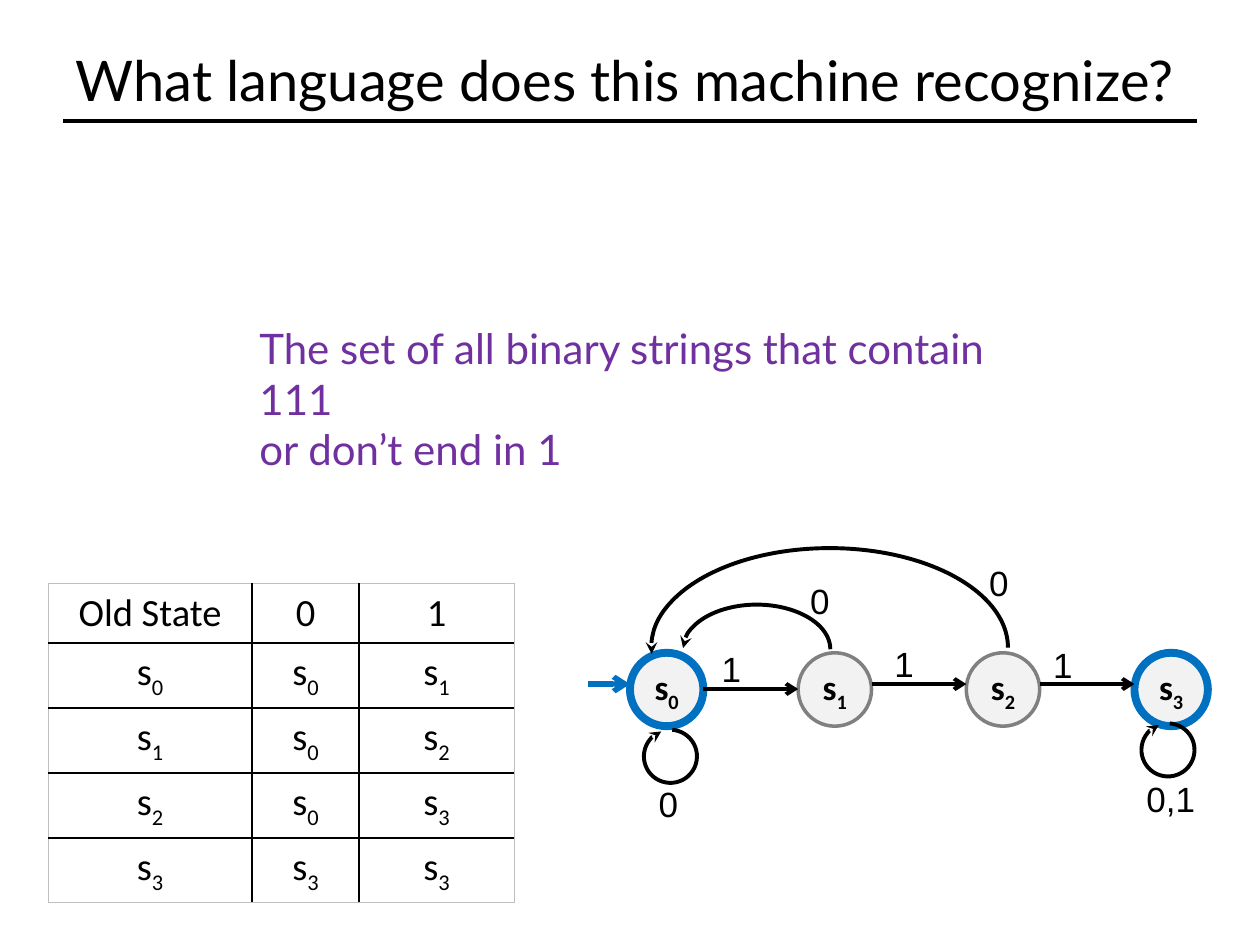
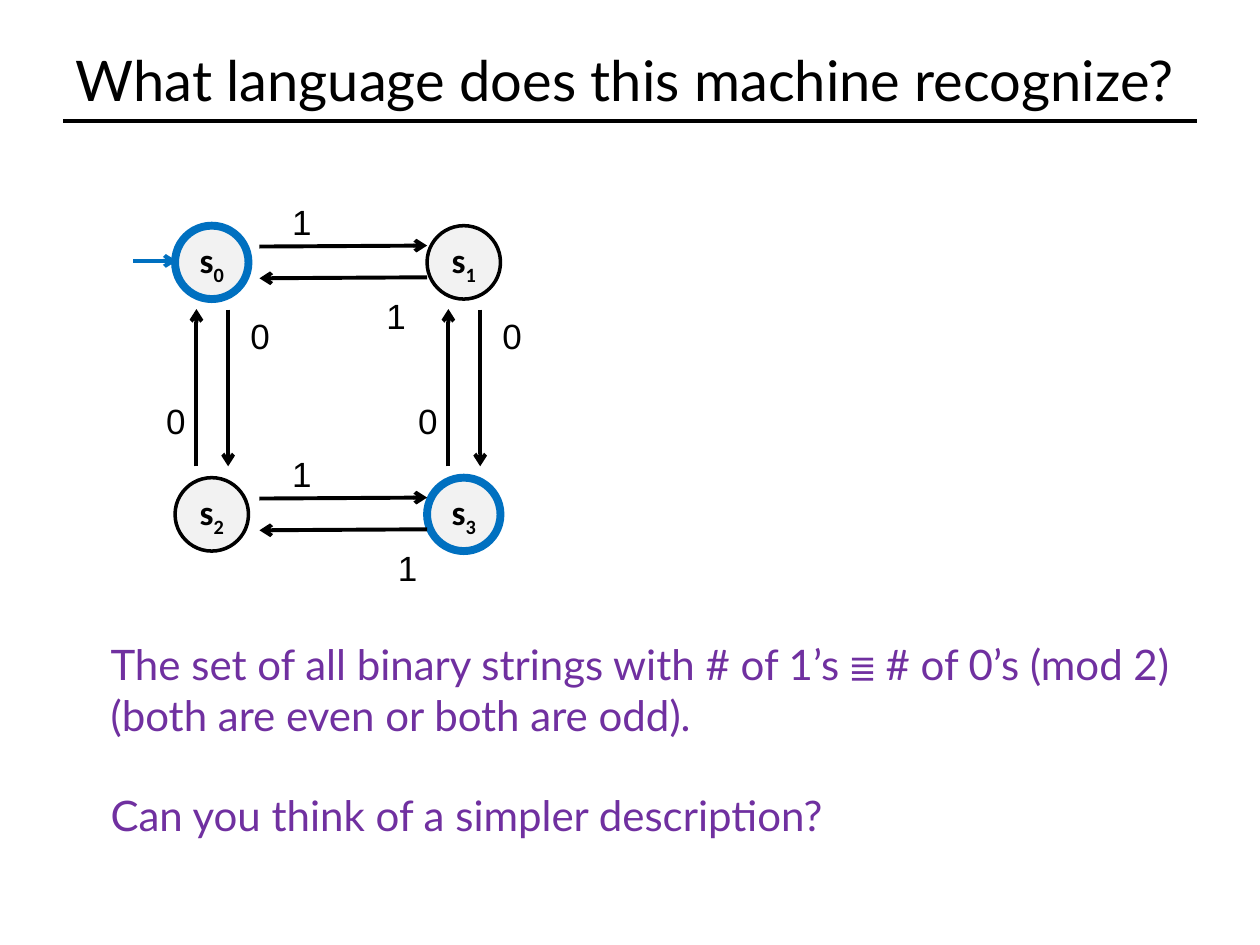
from lxml.etree import SubElement
from pptx import Presentation
from pptx.dml.color import RGBColor
from pptx.enum.shapes import MSO_CONNECTOR, MSO_SHAPE
from pptx.enum.text import MSO_ANCHOR, MSO_AUTO_SIZE, PP_ALIGN
from pptx.oxml.ns import qn
from pptx.util import Cm, Pt

hex_color = RGBColor.from_string
BLACK, BLUE, GREY, PURPLE = "000000", "0070C0", "808080", "7030A0"
STATE_FILL, TABLE_EDGE = "F2F2F2", "BFBFBF"
TITLE_FORMAT = {"name": "Lato", "size": Pt(32)}
STATE_FORMAT = {"name": "Calibri", "size": Pt(20), "bold": True}
LABEL_FORMAT = {"name": "Arial", "size": Pt(20)}
CELL_FORMAT = {"name": "Calibri", "size": Pt(22)}
TITLE = "What language does this machine recognize?"
DIAMETER = 1.48


def write(paragraph, text, color, font_format):
    """Append text to the paragraph; what follows an underscore is a subscript."""
    base, _, subscript = text.partition("_")
    for part, baseline in ((base, None), (subscript, "-25000")):
        if not part:
            continue
        run = paragraph.add_run()
        run.text = part
        run.font.color.rgb = hex_color(color)
        for attribute, value in font_format.items():
            setattr(run.font, attribute, value)
        if baseline:
            run._r.get_or_add_rPr().set("baseline", baseline)


def stroke(shape, color, width, arrow_end=None, arrow_type="arrow"):
    """Style an outline without shadow; arrow_end is headEnd or tailEnd."""
    shape.line.color.rgb = hex_color(color)
    shape.line.width = Pt(width)
    properties = shape.element.spPr
    if arrow_end:
        SubElement(properties.find(qn("a:ln")), qn(f"a:{arrow_end}"), type=arrow_type)
    if properties.find(qn("a:effectLst")) is None:
        SubElement(properties, qn("a:effectLst"))


# Each state: name, left, top, outline colour, outline width
# Each arrow: from x, from y, to x, to y, colour, width
# Each arc: left, top, width, height, start angle, rotation, arrow end
chain_left, chain_top, chain_step = 12.7, 13.16, 3.39
chain = {
    "states": [
        (f"s_{i}", chain_left + i * chain_step, chain_top, color, width)
        for i, (color, width) in enumerate([(BLUE, 4.5), (GREY, 2), (GREY, 2), (BLUE, 4.5)])
    ],
    "arrows": [(11.86, 13.79, chain_left, 13.79, BLUE, 3)] + [
        (chain_left + i * chain_step + DIAMETER, y,
         chain_left + (i + 1) * chain_step, y, BLACK, 2.25)
        for i, y in enumerate([13.89, 13.79, 13.79])
    ],
    "arcs": [
        (13.77, 12.19, 2.97, 1.8, 108.56, 0, "headEnd"),
        (13.13, 11.05, 7.19, 4.01, 106.77, 0, "headEnd"),
        (12.98, 14.71, 1.07, 1.07, 14.54, 249.8, "tailEnd"),
        (23.01, 14.58, 1.07, 1.07, 14.54, 249.8, "tailEnd"),
    ],
    "labels": [
        ("1", 14.3, 12.93), ("1", 17.78, 12.83), ("1", 20.98, 12.85),
        ("0", 16.08, 11.56), ("0", 19.69, 11.2), ("0", 13.03, 15.65),
        ("0,1", 22.86, 15.54),
    ],
    "answer_box": (4.98, 6.38, 16.3, 3.3),
    "answer": [
        [("The set of all binary strings that contain 111", "Lato")],
        [("or don’t end in 1", "Lato")],
    ],
    "transitions": [
        ("Old State", "0", "1"),
        ("s_0", "s_0", "s_1"),
        ("s_1", "s_0", "s_2"),
        ("s_2", "s_0", "s_3"),
        ("s_3", "s_3", "s_3"),
    ],
}

square_left, square_top, square_step = 3.53, 4.55, 5.08
square = {
    "states": [
        (f"s_{i}", square_left + i % 2 * square_step, square_top + i // 2 * square_step,
         color, width)
        for i, (color, width) in enumerate([(BLUE, 4.5), (BLACK, 2), (BLACK, 2), (BLUE, 4.5)])
    ],
    "arrows": [(2.69, 5.26, 3.56, 5.26, BLUE, 2.25)],
    "arcs": [],
    "labels": [("1", 7.54, 5.82), ("1", 7.77, 10.9)],
    "answer_box": (1.98, 12.75, 22.15, 4.37),
    "answer": [
        [("The set of all binary strings with # of 1’s ", "Lato"),
         ("≣", "Times New Roman"), (" # of 0’s (mod 2)", "Lato")],
        [("(both are even or both are odd).", "Lato")],
        [("Can you think of a simpler description?", "Lato")],
    ],
    "transitions": [],
}
for offset in (0, square_step):
    square["arrows"] += [
        (5.23, 4.97 + offset, 8.61, 4.95 + offset, BLACK, 2.25),
        (8.61, 5.59 + offset, 5.23, 5.61 + offset, BLACK, 2.25),
        (4.6 + offset, 6.24, 4.6 + offset, 9.4, BLACK, 2.25),
        (3.96 + offset, 9.4, 3.96 + offset, 6.23, BLACK, 2.25),
    ]
    square["labels"] += [
        ("1", 5.64, 3.91 + offset),
        ("0", 4.8 + offset, 6.22),
        ("0", 3.1 + offset, 7.92),
    ]

deck = Presentation()
deck.slide_width, deck.slide_height = Cm(25.4), Cm(19.05)

for machine in (chain, square):
    slide = deck.slides.add_slide(deck.slide_layouts[5])
    shapes = slide.shapes

    title = shapes.title
    title.left, title.top, title.width, title.height = Cm(1.27), Cm(0.76), Cm(22.86), Cm(1.68)
    title.text_frame.auto_size = MSO_AUTO_SIZE.NONE
    title.text_frame.vertical_anchor = MSO_ANCHOR.MIDDLE
    heading = title.text_frame.paragraphs[0]
    heading.alignment = PP_ALIGN.LEFT
    write(heading, TITLE, BLACK, TITLE_FORMAT)
    title_rule = shapes.add_connector(
        MSO_CONNECTOR.STRAIGHT, Cm(1.27), Cm(2.44), Cm(24.13), Cm(2.44))
    stroke(title_rule, BLACK, 2)

    transitions = machine["transitions"]
    if transitions:
        table = shapes.add_table(
            len(transitions), 3, Cm(0.97), Cm(11.76), Cm(9.39), Cm(6.44)).table
        table.first_row = table.horz_banding = False
        for column, width in zip(table.columns, (4.11, 2.16, 3.12)):
            column.width = Cm(width)
        for r, row_texts in enumerate(transitions):
            table.rows[r].height = Cm(1.31 if r else 1.2)
            for c, text in enumerate(row_texts):
                cell = table.cell(r, c)
                cell.fill.background()
                cell.vertical_anchor = MSO_ANCHOR.MIDDLE
                entry = cell.text_frame.paragraphs[0]
                entry.alignment = PP_ALIGN.CENTER
                write(entry, text, BLACK, CELL_FORMAT)
                cell_properties = cell._tc.get_or_add_tcPr()
                outer_edges = {"lnL": c == 0, "lnR": c == 2, "lnT": r == 0,
                               "lnB": r == len(transitions) - 1}
                for position, (edge, is_outer) in enumerate(outer_edges.items()):
                    border = SubElement(cell_properties, qn(f"a:{edge}"),
                                        w=str(Pt(0.5 if is_outer else 1)))
                    SubElement(SubElement(border, qn("a:solidFill")), qn("a:srgbClr"),
                               val=TABLE_EDGE if is_outer else BLACK)
                    cell_properties.insert(position, border)

    for name, left, top, color, width in machine["states"]:
        state = shapes.add_shape(
            MSO_SHAPE.OVAL, Cm(left), Cm(top), Cm(DIAMETER), Cm(DIAMETER))
        state.shadow.inherit = False
        state.fill.solid()
        state.fill.fore_color.rgb = hex_color(STATE_FILL)
        stroke(state, color, width)
        frame_format = {"margin_left": 0, "margin_right": 0, "margin_top": 0,
                        "margin_bottom": 0, "word_wrap": False,
                        "vertical_anchor": MSO_ANCHOR.MIDDLE}
        for attribute, value in frame_format.items():
            setattr(state.text_frame, attribute, value)
        state_name = state.text_frame.paragraphs[0]
        state_name.alignment = PP_ALIGN.CENTER
        write(state_name, name, BLACK, STATE_FORMAT)

    for symbol, left, top in machine["labels"]:
        label = shapes.add_textbox(
            Cm(left), Cm(top), Cm(0.64 if len(symbol) == 1 else 2.24), Cm(1.12))
        label.text_frame.word_wrap = True
        write(label.text_frame.paragraphs[0], symbol, BLACK, LABEL_FORMAT)

    for left, top, width, height, start, rotation, arrow_end in machine["arcs"]:
        arc = shapes.add_shape(MSO_SHAPE.ARC, Cm(left), Cm(top), Cm(width), Cm(height))
        arc.shadow.inherit = False
        arc.adjustments[0] = start
        arc.rotation = rotation
        arc.fill.background()
        stroke(arc, BLACK, 2.25, arrow_end, "stealth")

    for from_x, from_y, to_x, to_y, color, width in machine["arrows"]:
        arrow = shapes.add_connector(
            MSO_CONNECTOR.STRAIGHT, Cm(from_x), Cm(from_y), Cm(to_x), Cm(to_y))
        stroke(arrow, color, width, "tailEnd")

    answer = shapes.add_textbox(*map(Cm, machine["answer_box"])).text_frame
    answer.word_wrap = True
    for i, pieces in enumerate(machine["answer"]):
        sentence = answer.add_paragraph() if i else answer.paragraphs[0]
        if i == 2:
            sentence.space_before = Pt(28.8)
        for text, font_name in pieces:
            write(sentence, text, PURPLE, {"name": font_name, "size": Pt(24)})

deck.save("out.pptx")
